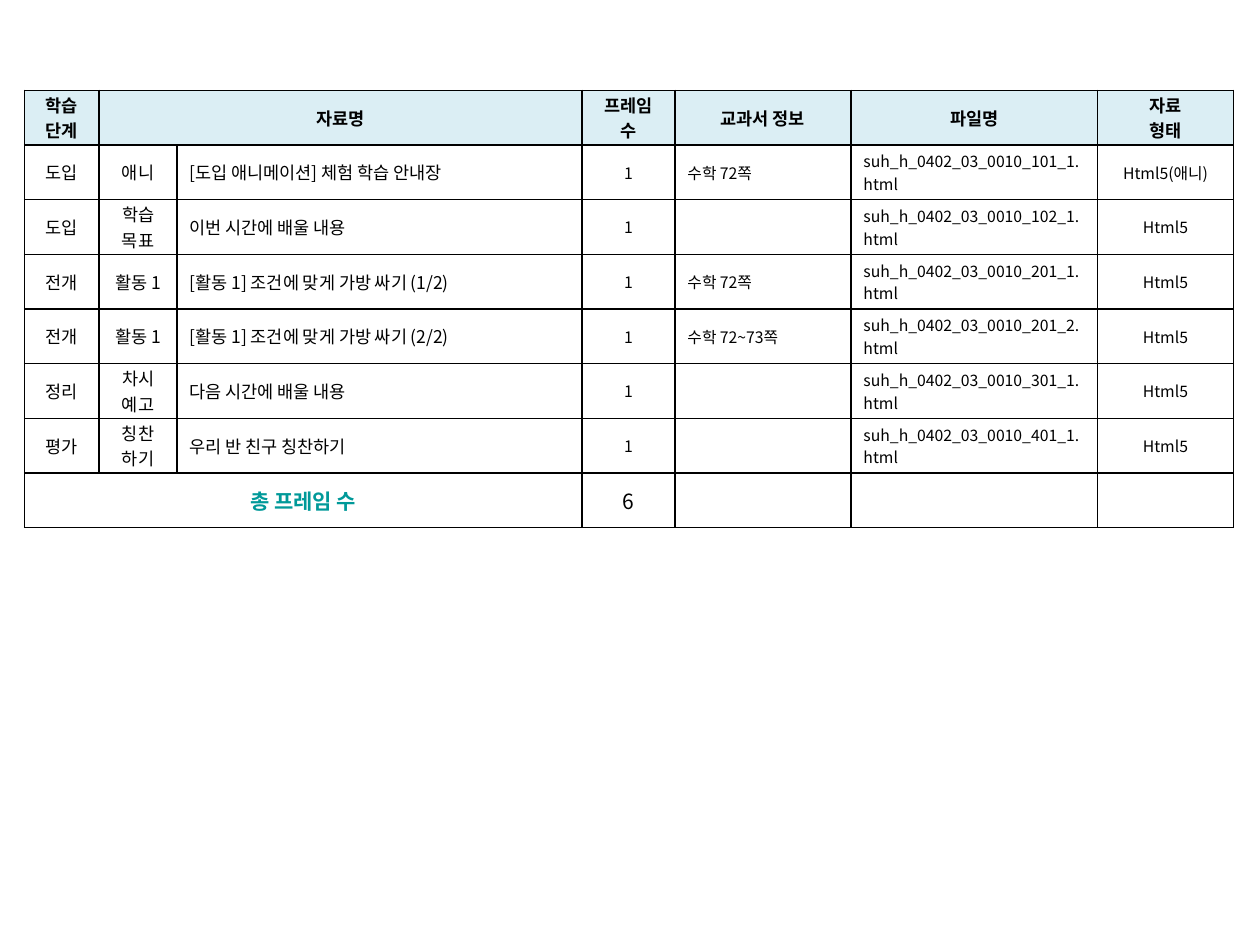
from lxml.etree import SubElement
from pptx import Presentation
from pptx.dml.color import RGBColor
from pptx.enum.text import MSO_ANCHOR, PP_ALIGN
from pptx.oxml.ns import qn
from pptx.util import Pt

FONT = "Noto Sans CJK KR"
BLACK = RGBColor(0x00, 0x00, 0x00)
TEAL = RGBColor(0x00, 0x99, 0x99)
PALE_BLUE = RGBColor(0xDB, 0xEE, 0xF4)

HEADER = ["학습 단계", "자료명", "", "프레임 수", "교과서 정보", "파일명", "자료\n형태"]
LESSONS = [
    ["도입", "애니", "[도입 애니메이션] 체험 학습 안내장", "1", "수학 72쪽",
     "suh_h_0402_03_0010_101_1.html", "Html5(애니)"],
    ["도입", "학습 목표", "이번 시간에 배울 내용", "1", "",
     "suh_h_0402_03_0010_102_1.html", "Html5"],
    ["전개", "활동 1", "[활동 1] 조건에 맞게 가방 싸기 (1/2)", "1", "수학 72쪽",
     "suh_h_0402_03_0010_201_1.html", "Html5"],
    ["전개", "활동 1", "[활동 1] 조건에 맞게 가방 싸기 (2/2)", "1", "수학 72~73쪽",
     "suh_h_0402_03_0010_201_2.html", "Html5"],
    ["정리", "차시 예고", "다음 시간에 배울 내용", "1", "",
     "suh_h_0402_03_0010_301_1.html", "Html5"],
    ["평가", "칭찬\n하기", "우리 반 친구 칭찬하기", "1", "",
     "suh_h_0402_03_0010_401_1.html", "Html5"],
]
TOTAL = ["총 프레임 수", "", "", "6", "", "", ""]
ROWS = [HEADER, *LESSONS, TOTAL]

LEFT, TOP = 14.1, 51.6
COLUMN_WIDTHS = [42.5, 44.6, 231.4, 53.1, 100.6, 140.9, 77.7]
ROW_HEIGHT = 31.25
LESSON_SIZES = [10, 10, 10, 9, 9, 9, 9]
CENTER, JUSTIFY = PP_ALIGN.CENTER, PP_ALIGN.JUSTIFY
LESSON_ALIGNMENTS = [CENTER, CENTER, PP_ALIGN.LEFT, CENTER, JUSTIFY, JUSTIFY, CENTER]


def add_borders(cell):
    properties = cell._tc.get_or_add_tcPr()
    for side in ("a:lnL", "a:lnR", "a:lnT", "a:lnB"):
        line = SubElement(properties, qn(side), w=str(Pt(1)))
        fill = SubElement(line, qn("a:solidFill"))
        SubElement(fill, qn("a:srgbClr"), val=str(BLACK))


def write_cell(cell, text, size, alignment, color, bold):
    cell.text_frame.text = text
    cell.vertical_anchor = MSO_ANCHOR.MIDDLE
    cell.margin_left = cell.margin_right = Pt(7.2)
    cell.margin_top = cell.margin_bottom = Pt(1)
    for para in cell.text_frame.paragraphs:
        para.alignment = alignment
        for span in para.runs:
            span.font.name = FONT
            span.font.size = Pt(size)
            span.font.bold = bold
            span.font.color.rgb = color
            SubElement(span.font._element, qn("a:ea"), typeface=FONT)


def cell_style(row, column):
    """Return size, alignment, colour and boldness for a cell."""
    if row == 0:
        return 10, CENTER, BLACK, True
    if row == len(ROWS) - 1:
        is_label = column == 0
        return 12, CENTER, TEAL if is_label else BLACK, is_label
    return LESSON_SIZES[column], LESSON_ALIGNMENTS[column], BLACK, False


def main():
    deck = Presentation()
    deck.slide_width, deck.slide_height = Pt(720), Pt(540)
    page = deck.slides.add_slide(deck.slide_layouts[6])
    table = page.shapes.add_table(
        len(ROWS), len(COLUMN_WIDTHS), Pt(LEFT), Pt(TOP),
        Pt(sum(COLUMN_WIDTHS)), Pt(ROW_HEIGHT * len(ROWS))).table
    table.first_row = table.horz_banding = False
    for column, width in zip(table.columns, COLUMN_WIDTHS):
        column.width = Pt(width)

    for row, texts in enumerate(ROWS):
        table.rows[row].height = Pt(ROW_HEIGHT)
        for column, text in enumerate(texts):
            cell = table.cell(row, column)
            write_cell(cell, text, *cell_style(row, column))
            add_borders(cell)
            if row == 0:
                cell.fill.solid()
                cell.fill.fore_color.rgb = PALE_BLUE
            else:
                cell.fill.background()

    last = len(ROWS) - 1
    table.cell(0, 1).merge(table.cell(0, 2))
    table.cell(last, 0).merge(table.cell(last, 2))
    deck.save("out.pptx")


if __name__ == "__main__":
    main()
